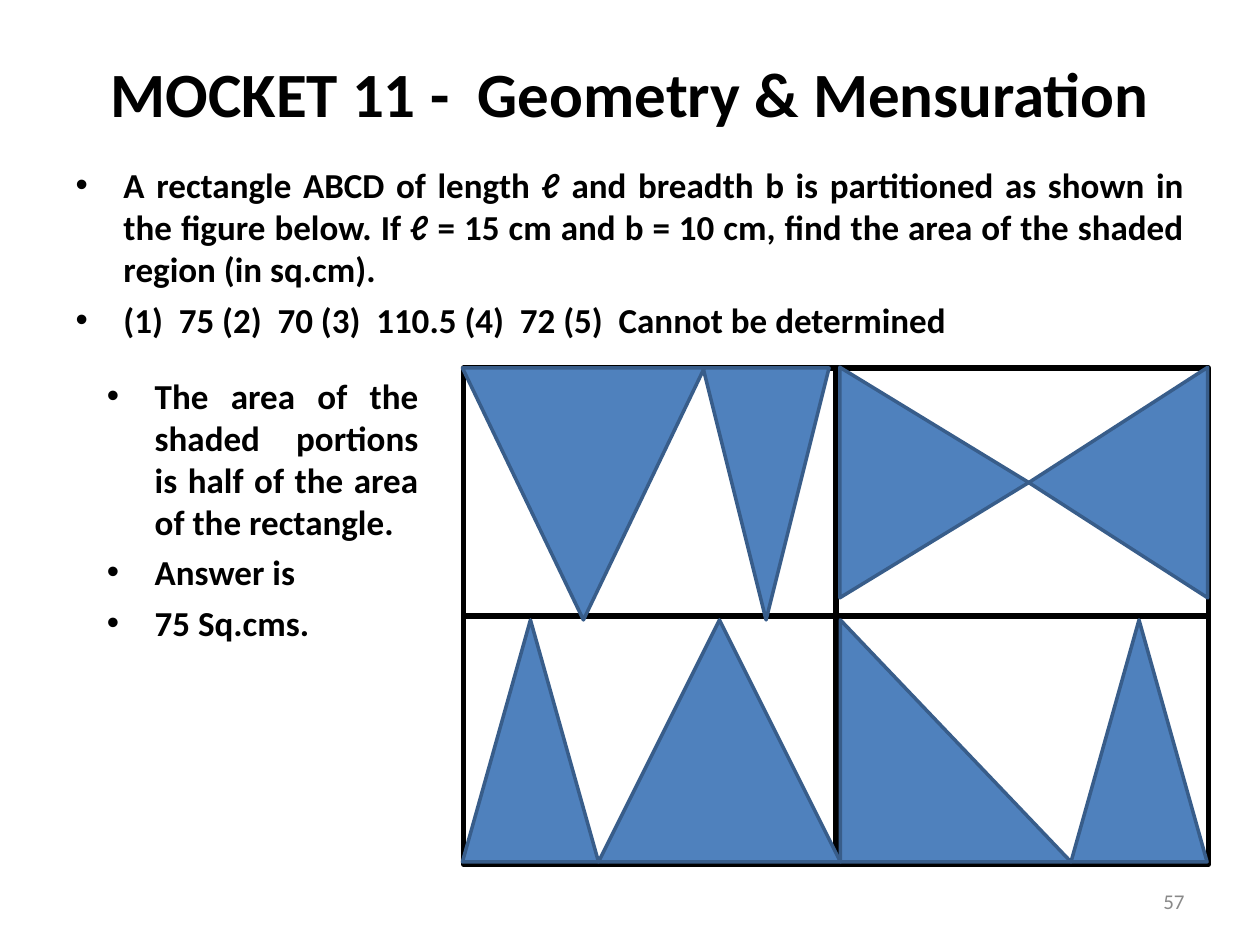
"""Build a geometry slide: a rectangle partitioned into shaded triangles."""
from lxml import etree
from pptx import Presentation
from pptx.dml.color import RGBColor
from pptx.enum.shapes import MSO_CONNECTOR, MSO_SHAPE
from pptx.enum.text import MSO_ANCHOR, MSO_AUTO_SIZE, PP_ALIGN
from pptx.oxml.ns import qn
from pptx.util import Inches, Pt

RECTANGLE = MSO_SHAPE.RECTANGLE
TRIANGLE = MSO_SHAPE.ISOSCELES_TRIANGLE
RIGHT_TRIANGLE = MSO_SHAPE.RIGHT_TRIANGLE
STRAIGHT = MSO_CONNECTOR.STRAIGHT
CENTER, JUSTIFY, RIGHT = PP_ALIGN.CENTER, PP_ALIGN.JUSTIFY, PP_ALIGN.RIGHT
TOP, MIDDLE = MSO_ANCHOR.TOP, MSO_ANCHOR.MIDDLE

COLORS = {"black": "000000", "grey": "898989", "shade": "4F81BD", "edge": "385D8A"}
TITLE_FONT = {"name": "Calibri", "size": Pt(36), "bold": True}
BODY_FONT = {"name": "Calibri", "size": Pt(20), "bold": True}
NUMBER_FONT = {"name": "Calibri", "size": Pt(12), "bold": False}


def place(shape, left, top, width, height):
    shape.left, shape.top = Inches(left), Inches(top)
    shape.width, shape.height = Inches(width), Inches(height)


def write(shape, lines, font, color, alignment, anchor, bulleted=False):
    frame = shape.text_frame
    frame.text = "\n".join(lines)
    frame.word_wrap = True
    frame.auto_size = MSO_AUTO_SIZE.NONE
    frame.vertical_anchor = anchor
    for index, paragraph in enumerate(frame.paragraphs):
        if bulleted:
            properties = paragraph._p.get_or_add_pPr()
            properties.set("marL", str(Inches(0.38)))
            properties.set("indent", str(-Inches(0.38)))
            bullet_color = etree.SubElement(properties, qn("a:buClr"))
            etree.SubElement(bullet_color, qn("a:srgbClr"), val=COLORS[color])
            etree.SubElement(properties, qn("a:buFont"), typeface="Arial")
            etree.SubElement(properties, qn("a:buChar"), char="•")
        paragraph.alignment = alignment
        paragraph.space_before = Pt(5 if index else 0)
        for run in paragraph.runs:
            for name, value in font.items():
                setattr(run.font, name, value)
            run.font.color.rgb = RGBColor.from_string(COLORS[color])


presentation = Presentation()
presentation.slide_width, presentation.slide_height = Inches(10), Inches(7.5)
slide = presentation.slides.add_slide(presentation.slide_layouts[1])
shapes = slide.shapes

title = shapes.title
place(title, 0.5, 0.3, 9, 0.87)
write(title, ["MOCKET 11 -  Geometry & Mensuration"], TITLE_FONT, "black", CENTER, MIDDLE)

question = slide.placeholders[1]
place(question, 0.5, 1.25, 9, 1.75)
question_lines = [
    "A rectangle ABCD of length ℓ and breadth b is partitioned as shown in the figure "
    "below. If ℓ = 15 cm and b = 10 cm, find the area of the shaded region (in sq.cm).",
    "(1)  75 (2)  70 (3)  110.5 (4)  72 (5)  Cannot be determined",
]
write(question, question_lines, BODY_FONT, "black", JUSTIFY, TOP, bulleted=True)

rectangle = shapes.add_shape(RECTANGLE, Inches(3.68), Inches(2.92), Inches(5.91), Inches(3.94))
rectangle.shadow.inherit = False
rectangle.fill.background()
rectangle.line.color.rgb = RGBColor.from_string(COLORS["black"])
rectangle.line.width = Pt(3)

for start_side, end_side in [(1, 3), (0, 2)]:
    divider = shapes.add_connector(STRAIGHT, 0, 0, 0, 0)
    divider.begin_connect(rectangle, start_side)
    divider.end_connect(rectangle, end_side)
    divider.line.color.rgb = RGBColor.from_string(COLORS["black"])
    divider.line.width = Pt(3)
    etree.SubElement(divider._element.spPr, qn("a:effectLst"))

shaded_regions = [
    (TRIANGLE, 3.67, 4.92, 1.08, 1.92, 0),
    (TRIANGLE, 4.75, 4.92, 1.92, 1.92, 0),
    (RIGHT_TRIANGLE, 6.67, 4.92, 1.83, 1.92, 0),
    (TRIANGLE, 8.5, 4.92, 1.08, 1.92, 0),
    (TRIANGLE, 5.58, 2.92, 1, 2, 180),
    (TRIANGLE, 3.67, 2.92, 1.92, 2, 180),
    (TRIANGLE, 6.5, 3.08, 1.83, 1.5, 90),
    (TRIANGLE, 7.96, 3.12, 1.83, 1.42, 270),
]
for kind, left, top, width, height, rotation in shaded_regions:
    region = shapes.add_shape(kind, Inches(left), Inches(top), Inches(width), Inches(height))
    region.rotation = rotation
    region.shadow.inherit = False
    region.fill.solid()
    region.fill.fore_color.rgb = RGBColor.from_string(COLORS["shade"])
    region.line.color.rgb = RGBColor.from_string(COLORS["edge"])
    region.line.width = Pt(2)

answer = shapes.add_textbox(Inches(0.75), Inches(2.92), Inches(2.67), Inches(2.33))
answer_lines = [
    "The area of the shaded portions is half of the area of the rectangle.",
    "Answer is ",
    "75 Sq.cms.",
]
write(answer, answer_lines, BODY_FONT, "black", JUSTIFY, TOP, bulleted=True)

slide_number = shapes.add_textbox(Inches(7.17), Inches(6.95), Inches(2.33), Inches(0.4))
write(slide_number, ["57"], NUMBER_FONT, "grey", RIGHT, MIDDLE)

presentation.save("out.pptx")
